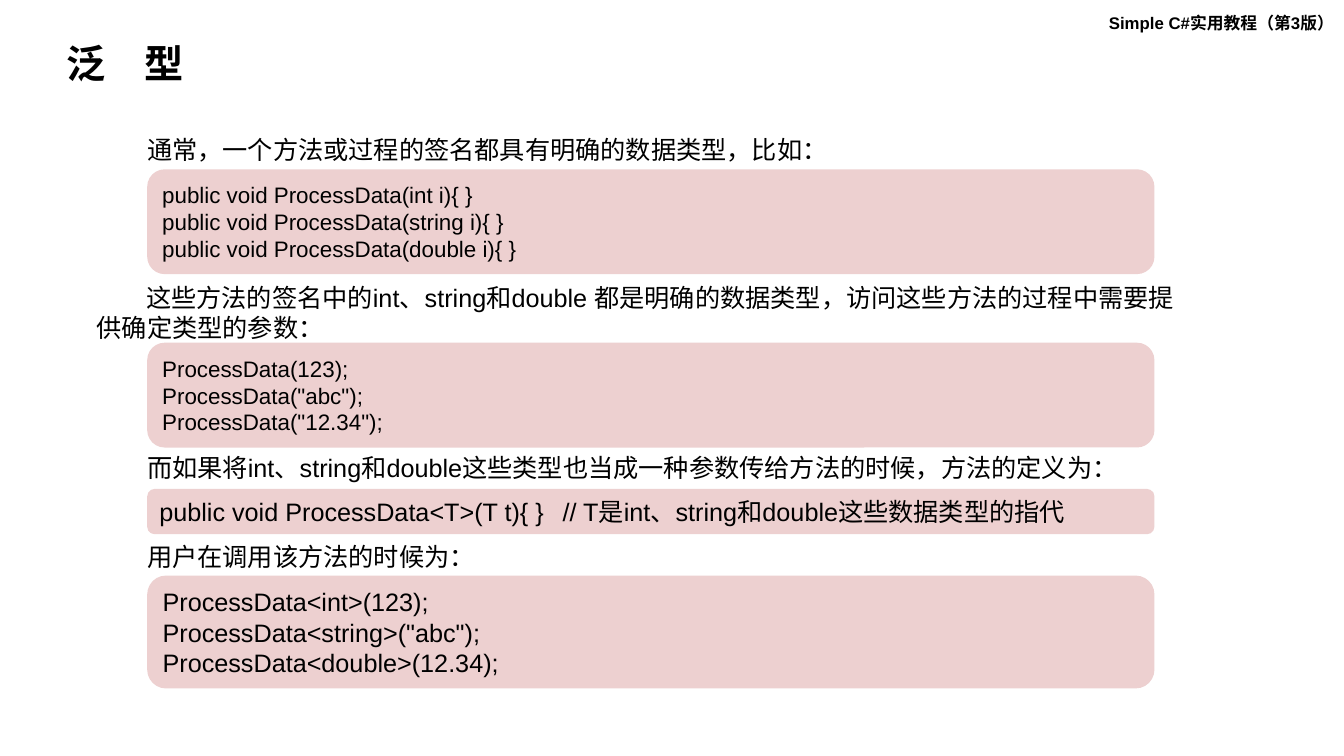
from pptx import Presentation
from pptx.dml.color import RGBColor
from pptx.enum import shapes, text
from pptx.util import Inches, Pt

COLORS = {"ink": "000000", "code": "EDD0D0"}
FONT = "Arial"
CODE_LEFT, CODE_WIDTH = 1.46, 9.99

EXPLANATIONS = [
    ("通常，一个方法或过程的签名都具有明确的数据类型，比如：", (1.36, 1.28, 7.85, 0.4), {}),
    ("这些方法的签名中的int、string和double 都是明确的数据类型，访问这些方法的过程中需要提供确定类型的参数：",
     (0.86, 2.75, 10.92, 0.71), {"indent": 0.49}),
    ("而如果将int、string和double这些类型也当成一种参数传给方法的时候，方法的定义为：",
     (1.36, 4.44, 10.11, 0.4), {}),
    ("用户在调用该方法的时候为：", (1.36, 5.32, 3.48, 0.4), {"wrap": False}),
]

CODE_BLOCKS = [
    (["public void ProcessData(int i){ }",
      "public void ProcessData(string i){ }",
      "public void ProcessData(double i){ }"], 1.68, 1.04, 16),
    (["ProcessData(123);", 'ProcessData("abc");', 'ProcessData("12.34");'], 3.4, 1.04, 16),
    (["public void ProcessData<T>(T t){ }\t// T是int、string和double这些数据类型的指代"],
     4.85, 0.45, 18),
    (["ProcessData<int>(123);", 'ProcessData<string>("abc");',
      "ProcessData<double>(12.34);"], 5.71, 1.12, 18),
]


def write_text(shape, lines, size=18, bold=False, wrap=True, indent=0,
               spacing=None, anchor=text.MSO_ANCHOR.TOP):
    """Write the lines into the shape, one paragraph each."""
    frame = shape.text_frame
    frame.word_wrap = wrap
    frame.vertical_anchor = anchor
    for number, line in enumerate(lines):
        paragraph = frame.add_paragraph() if number else frame.paragraphs[0]
        paragraph.alignment = text.PP_ALIGN.LEFT
        if indent:
            properties = paragraph._p.get_or_add_pPr()
            properties.set("marL", "0")
            properties.set("indent", str(Inches(indent)))
        if spacing:
            paragraph.line_spacing = spacing
        run = paragraph.add_run()
        run.text = line
        run.font.name = FONT
        run.font.size = Pt(size)
        run.font.bold = bold
        run.font.color.rgb = RGBColor.from_string(COLORS["ink"])


def add_label(slide, words, box, **text_format):
    """Add a text box filling the given box."""
    label = slide.shapes.add_textbox(*map(Inches, box))
    write_text(label, [words], **text_format)


def add_code_block(slide, lines, box, size):
    """Add a rounded panel of code filling the given box."""
    panel = slide.shapes.add_shape(shapes.MSO_SHAPE.ROUNDED_RECTANGLE, *map(Inches, box))
    panel.shadow.inherit = False
    panel.fill.solid()
    panel.fill.fore_color.rgb = RGBColor.from_string(COLORS["code"])
    panel.line.fill.background()
    write_text(panel, lines, size=size, anchor=text.MSO_ANCHOR.MIDDLE)


def build_generics_slide(presentation):
    """Add the slide that introduces generics."""
    slide = presentation.slides.add_slide(presentation.slide_layouts[6])
    add_label(slide, "Simple C#实用教程（第3版）", (10.9, 0.08, 2.44, 0.3), size=12, bold=True)
    add_label(slide, "泛　型", (0.56, 0.39, 5.41, 0.52), size=28, bold=True,
              spacing=0.9, anchor=text.MSO_ANCHOR.MIDDLE)
    for (words, box, text_format), (lines, top, height, size) in zip(EXPLANATIONS, CODE_BLOCKS):
        add_label(slide, words, box, **text_format)
        add_code_block(slide, lines, (CODE_LEFT, top, CODE_WIDTH, height), size)


def main():
    """Build and save the presentation."""
    presentation = Presentation()
    presentation.slide_width = Inches(13.33)
    presentation.slide_height = Inches(7.5)
    build_generics_slide(presentation)
    presentation.save("out.pptx")


if __name__ == "__main__":
    main()
